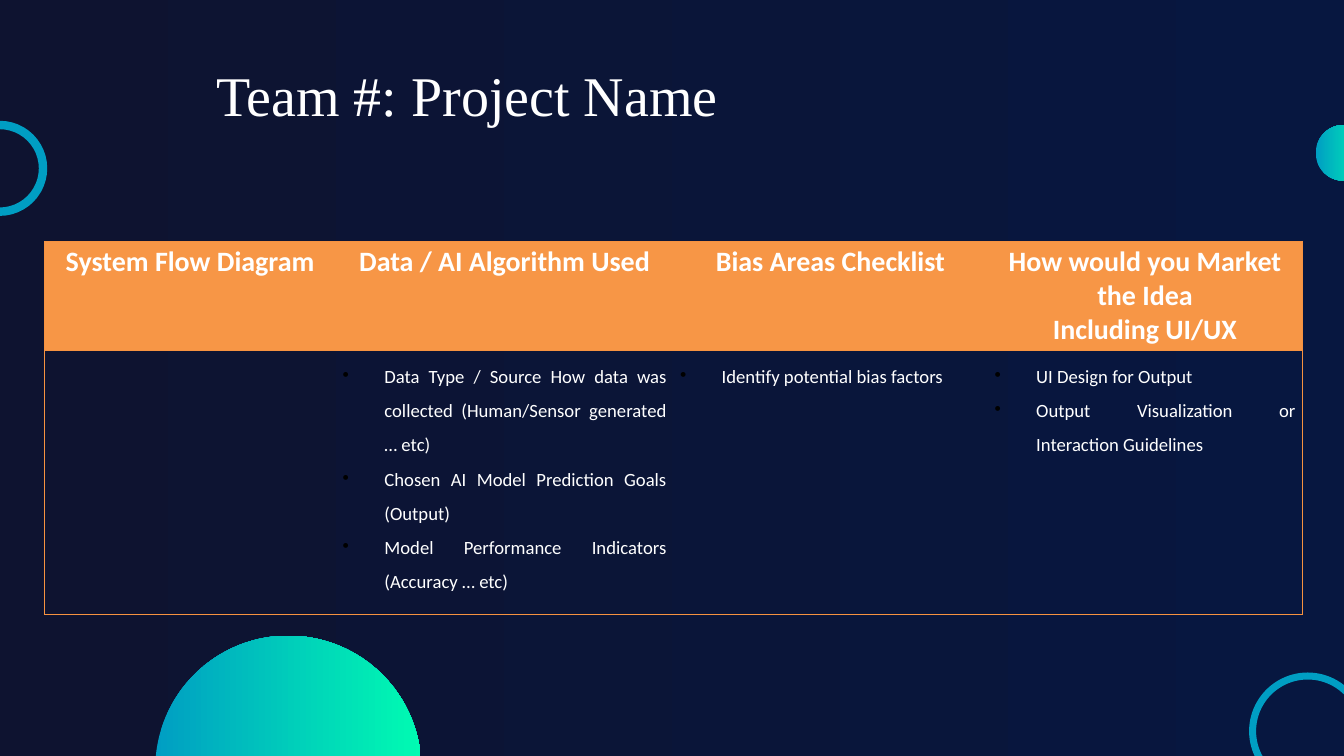
from lxml import etree
from pptx import Presentation
from pptx.dml.color import RGBColor
from pptx.enum.shapes import MSO_SHAPE
from pptx.enum.text import MSO_ANCHOR, PP_ALIGN
from pptx.oxml.ns import qn
from pptx.util import Inches, Pt

OVAL = MSO_SHAPE.OVAL
TOP = MSO_ANCHOR.TOP
LEFT, CENTER, JUSTIFY = PP_ALIGN.LEFT, PP_ALIGN.CENTER, PP_ALIGN.JUSTIFY

NIGHT = RGBColor(0x0E, 0x13, 0x30)
NAVY = RGBColor(0x07, 0x17, 0x40)
BLUE = RGBColor(0x00, 0x9E, 0xC3)
GREEN = RGBColor(0x00, 0xFB, 0xB2)
ORANGE = RGBColor(0xF7, 0x96, 0x46)
BORDER = RGBColor(0xF6, 0x92, 0x40)
WHITE = RGBColor(0xFF, 0xFF, 0xFF)
BLACK = RGBColor(0x00, 0x00, 0x00)

TITLE_FONT, TABLE_FONT = "Times New Roman", "Calibri"
NO_STYLE = "{2D5ABB26-0587-4C30-8999-92F81FD0307C}"
INDENT = 0.62

COLUMNS = [
    (4.34, "System Flow Diagram", []),
    (5.02, "Data / AI Algorithm Used", [
        "Data Type / Source How data was collected (Human/Sensor generated … etc)",
        "Chosen AI Model Prediction Goals (Output)",
        "Model Performance Indicators (Accuracy … etc)"]),
    (4.68, "Bias Areas Checklist", ["Identify potential bias factors"]),
    (4.68, "How would you Market the Idea\vIncluding UI/UX", [
        "UI Design for Output",
        "Output Visualization or Interaction Guidelines"]),
]
ROW_HEIGHTS = [1.61, 3.92]


class SlideBuilder:
    def __init__(self, prs):
        self.s = prs.slides.add_slide(prs.slide_layouts[5])

    def gradient(self, fill, start, end):
        fill.gradient()
        fill.gradient_angle = 0
        for stop, color in zip(fill.gradient_stops, (start, end)):
            stop.color.rgb = color

    def style(self, p, font, size, align, bold=False):
        p.alignment = align
        for r in p.runs:
            r.font.name, r.font.size, r.font.bold = font, Pt(size), bold
            r.font.color.rgb = WHITE

    def title(self, text, x, y, w, h):
        sp = self.s.shapes.title
        sp.left, sp.top, sp.width, sp.height = map(Inches, (x, y, w, h))
        tf = sp.text_frame
        tf.text = text
        tf.word_wrap = True
        tf.vertical_anchor = TOP
        tf.margin_left = tf.margin_top = tf.margin_right = tf.margin_bottom = 0
        p = tf.paragraphs[0]
        p.line_spacing = Pt(136.5)
        self.style(p, TITLE_FONT, 60, LEFT)

    def circle(self, x, y, size):
        sp = self.s.shapes.add_shape(OVAL, *map(Inches, (x, y, size, size)))
        sp.shadow.inherit = False
        return sp

    def ring(self, x, y, size, weight):
        sp = self.circle(x, y, size)
        sp.fill.background()
        sp.line.color.rgb = BLUE
        sp.line.width = Pt(weight)

    def disc(self, x, y, size):
        sp = self.circle(x, y, size)
        self.gradient(sp.fill, BLUE, GREEN)
        sp.line.fill.background()

    def borders(self, cell, sides):
        tcPr = cell._tc.get_or_add_tcPr()
        for side in sides:
            ln = etree.SubElement(tcPr, qn(f"a:ln{side}"), w=str(Pt(0.75)))
            fill = etree.SubElement(ln, qn("a:solidFill"))
            etree.SubElement(fill, qn("a:srgbClr"), val=str(BORDER))

    def bullet(self, p):
        pPr = p._p.get_or_add_pPr()
        pPr.set("marL", str(Inches(INDENT)))
        pPr.set("indent", str(-Inches(INDENT)))
        color = etree.SubElement(pPr, qn("a:buClr"))
        etree.SubElement(color, qn("a:srgbClr"), val=str(BLACK))
        etree.SubElement(pPr, qn("a:buChar"), char="•")

    def table(self, x, y, columns, heights):
        width = sum(column[0] for column in columns)
        frame = self.s.shapes.add_table(
            len(heights), len(columns),
            *map(Inches, (x, y, width, sum(heights))))
        table = frame.table
        table.first_row = table.horz_banding = False
        table._tbl.tblPr.find(qn("a:tableStyleId")).text = NO_STYLE
        for row, height in zip(table.rows, heights):
            row.height = Inches(height)

        for i, (w, heading, items) in enumerate(columns):
            table.columns[i].width = Inches(w)
            head, body = table.cell(0, i), table.cell(1, i)
            sides = ("L" if i == 0 else "") + ("R" if i == len(columns) - 1 else "")
            self.borders(head, sides + "T")
            self.borders(body, sides + "TB")

            # Heading cell
            head.fill.solid()
            head.fill.fore_color.rgb = ORANGE
            head.text = heading
            self.style(head.text_frame.paragraphs[0], TABLE_FONT, 30, CENTER, True)

            # Bulleted cell
            body.fill.background()
            if items:
                body.text = "\n".join(items)
                for p in body.text_frame.paragraphs:
                    p.line_spacing = 1.5
                    self.style(p, TABLE_FONT, 20, JUSTIFY)
                    self.bullet(p)


def main():
    prs = Presentation()
    prs.slide_width, prs.slide_height = Inches(20), Inches(11.25)
    slide = SlideBuilder(prs)

    # Background and title
    slide.gradient(slide.s.background.fill, NIGHT, NAVY)
    slide.title("Team #: Project Name", 3.22, 0, 12.76, 1.68)

    # Circles along the edges
    slide.ring(-0.65, 1.86, 1.29, 9)
    slide.ring(18.64, 10.06, 1.64, 7.5)
    slide.disc(19.58, 1.86, 0.83)
    slide.disc(2.31, 9.46, 3.96)

    # Project table
    slide.table(0.66, 3.59, COLUMNS, ROW_HEIGHTS)

    prs.save("out.pptx")


if __name__ == "__main__":
    main()
